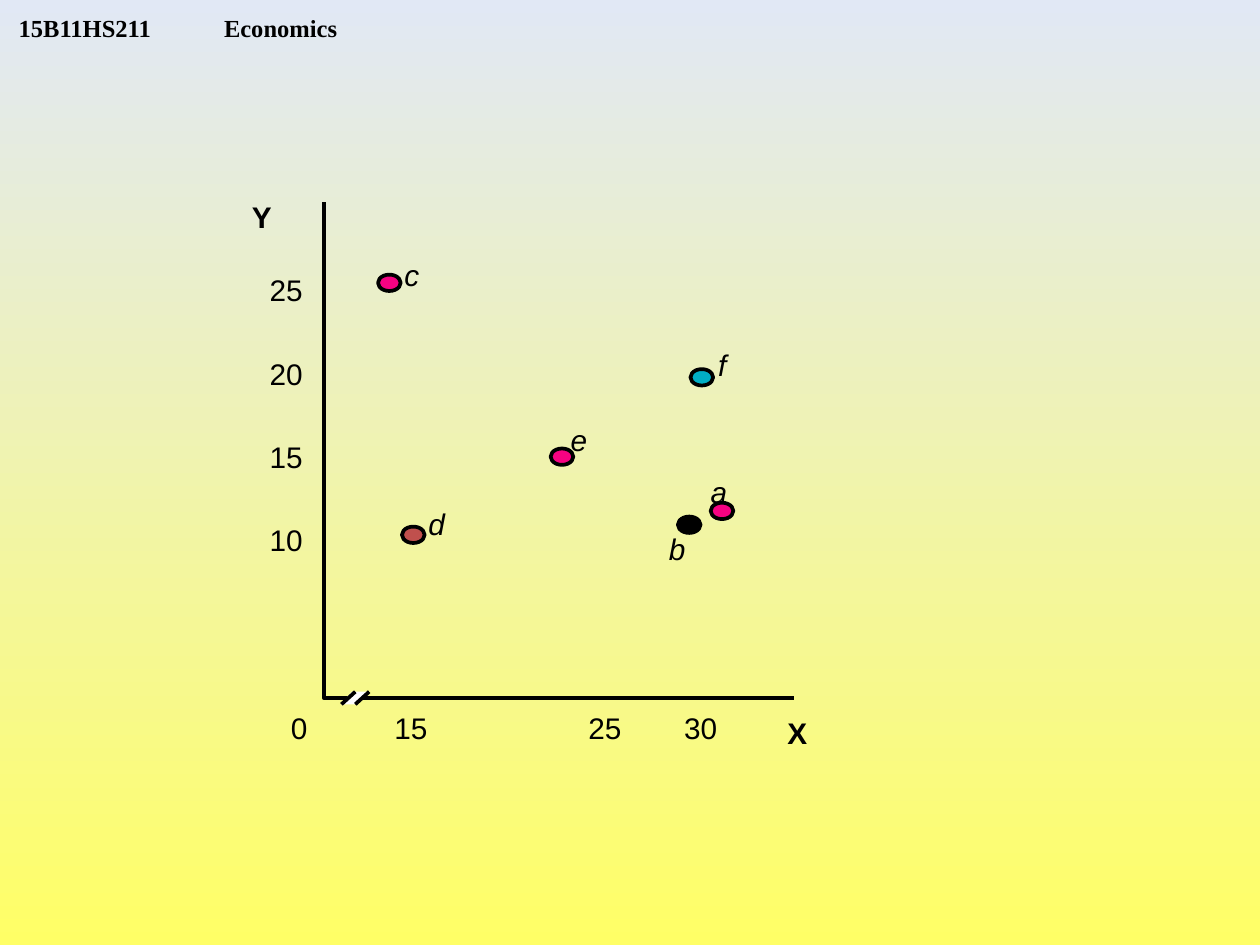
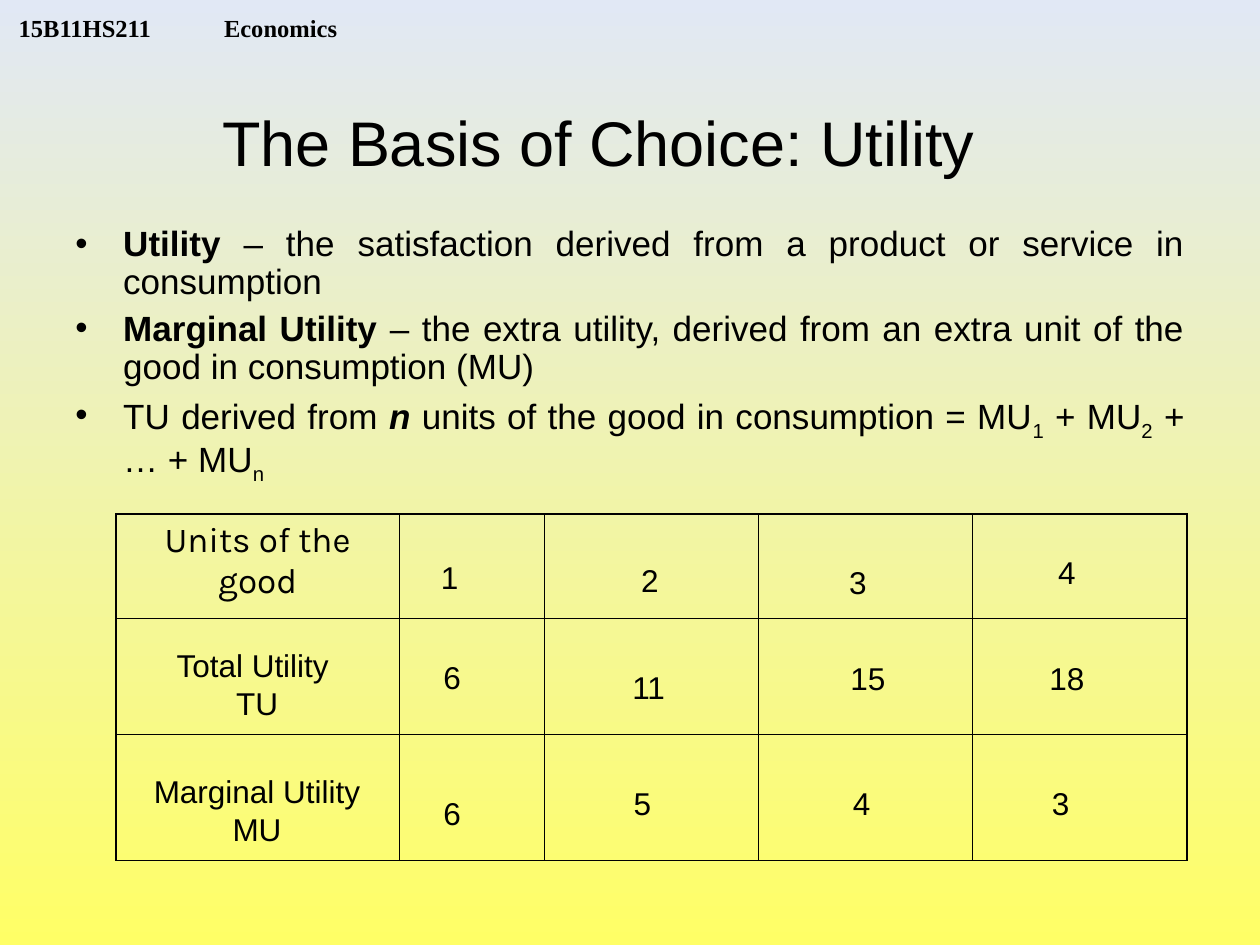
from dataclasses import dataclass

from lxml import etree
from pptx import Presentation
from pptx.dml.color import RGBColor
from pptx.enum.shapes import MSO_CONNECTOR, MSO_SHAPE
from pptx.enum.text import MSO_ANCHOR, PP_ALIGN
from pptx.oxml.ns import qn
from pptx.util import Inches, Pt

LEFT, CENTER, JUSTIFY = PP_ALIGN.LEFT, PP_ALIGN.CENTER, PP_ALIGN.JUSTIFY
TOP, MIDDLE, BOTTOM = MSO_ANCHOR.TOP, MSO_ANCHOR.MIDDLE, MSO_ANCHOR.BOTTOM
ELLIPSE, STRAIGHT = MSO_SHAPE.OVAL, MSO_CONNECTOR.STRAIGHT


@dataclass(frozen=True)
class Theme:
    ink: str = "000000"
    white: str = "FFFFFF"
    pink: str = "F60282"
    teal: str = "01AEC5"
    red: str = "C0504D"
    background_bottom: str = "FFFF66"
    background_top: str = "E1E8F5"
    font: str = "Arial"
    header_font: str = "Times New Roman"
    table_font: str = "Karla"
    title_size: float = 36
    body_size: float = 20
    value_size: float = 18
    label_size: float = 17
    header_size: float = 14
    line: float = 2.13
    outer_border: float = 1.08
    inner_border: float = 0.45


THEME = Theme()

# Point name, marker position, label position, marker colour
POINTS = [
    ("d", (3.19, 4.18), (3.40, 4.01), THEME.red),
    ("b", (5.38, 4.10), (5.31, 4.21), THEME.ink),
    ("a", (5.64, 3.99), (5.64, 3.76), THEME.pink),
    ("f", (5.48, 2.93), (5.70, 2.75), THEME.teal),
    ("c", (3.00, 2.18), (3.21, 2.04), THEME.pink),
    ("e", (4.37, 3.56), (4.53, 3.35), THEME.pink),
]
X_TICKS = [("0", 2.31), ("15", 3.13), ("25", 4.67), ("30", 5.43)]
Y_TICKS = ["25", "20", "15", "10"]
LABEL_WIDTHS = {"X": 0.16, "Y": 0.16, "c": 0.12, "f": 0.07}

# Each paragraph is a list of (text, style) runs
DEFINITIONS = [
    [("Utility", "bold"),
     (" – the satisfaction derived from a product or service in consumption", "")],
    [("Marginal Utility", "bold"),
     (" – the extra utility, derived from an extra unit of the good in consumption (MU)", "")],
    [("TU derived from ", ""), ("n", "bold italic"),
     (" units of the good in consumption = MU", ""), ("1", "sub"),
     (" + MU", ""), ("2", "sub"), (" + … + MU", ""), ("n", "sub")],
]

COLUMN_WIDTHS = [2.25, 1.15, 1.7, 1.7, 1.7]
ROW_HEIGHTS = [0.83, 0.92, 1]
ROW_LABELS = [(["Total Utility ", "TU"], 5.08, 1), (["Marginal Utility", "MU"], 6.08, 0.7)]
# Value, left, top; one line per table column
UTILITY_VALUES = [
    ("1", 3.40, 4.38), ("6", 3.42, 5.17), ("6", 3.42, 6.25),
    ("2", 4.99, 4.40), ("11", 4.92, 5.25), ("5", 4.93, 6.17),
    ("3", 6.64, 4.42), ("15", 6.65, 5.18), ("4", 6.67, 6.17),
    ("4", 8.30, 4.34), ("18", 8.23, 5.18), ("3", 8.25, 6.17),
]


def rgb(value):
    return RGBColor.from_string(value)


def set_font(paragraph, size, name=THEME.font, bold=False, italic=False):
    font = paragraph.font
    font.size, font.name = Pt(size), name
    font.bold, font.italic = bold, italic
    font.color.rgb = rgb(THEME.ink)


def add_box(slide, left, top, width, height, anchor=TOP, wrap=True):
    box = slide.shapes.add_textbox(Inches(left), Inches(top), Inches(width), Inches(height))
    frame = box.text_frame
    frame.word_wrap = wrap
    frame.vertical_anchor = anchor
    return frame


def add_text(slide, lines, left, top, width, height, size, align=LEFT, anchor=TOP):
    frame = add_box(slide, left, top, width, height, anchor)
    frame.text = "\n".join(lines)
    for paragraph in frame.paragraphs:
        paragraph.alignment = align
        set_font(paragraph, size)


def add_header(slide):
    frame = add_box(slide, 0.05, 0.01, 3.2, 0.33, BOTTOM)
    frame.margin_top = frame.margin_bottom = 0
    frame.text = "15B11HS211\tEconomics"
    paragraph = frame.paragraphs[0]
    tabs = etree.SubElement(paragraph._p.get_or_add_pPr(), qn("a:tabLst"))
    etree.SubElement(tabs, qn("a:tab"), pos=str(Inches(1.63)), algn="l")
    set_font(paragraph, THEME.header_size, THEME.header_font, bold=True)


def add_label(slide, text, left, top, bold=False, italic=False):
    width = LABEL_WIDTHS.get(text, 0.14 * len(text))
    frame = add_box(slide, left, top, width, 0.28, wrap=False)
    frame.margin_left = frame.margin_right = frame.margin_top = frame.margin_bottom = 0
    frame.text = text
    set_font(frame.paragraphs[0], THEME.label_size, bold=bold, italic=italic)


def set_line(shape):
    shape.line.color.rgb = rgb(THEME.ink)
    shape.line.width = Pt(THEME.line)


def add_outline(slide, points, closed=False):
    corners = [(Inches(x), Inches(y)) for x, y in points]
    builder = slide.shapes.build_freeform(*corners[0])
    builder.add_line_segments(corners[1:], close=closed)
    shape = builder.convert_to_shape()
    shape.shadow.inherit = False
    return shape


def add_marker(slide, left, top, color):
    marker = slide.shapes.add_shape(
        ELLIPSE, Inches(left), Inches(top), Inches(0.18), Inches(0.13))
    marker.shadow.inherit = False
    marker.fill.solid()
    marker.fill.fore_color.rgb = rgb(color)
    set_line(marker)


def add_stroke(slide, *ends):
    stroke = slide.shapes.add_connector(STRAIGHT, *[Inches(end) for end in ends])
    etree.SubElement(stroke._element.spPr, qn("a:effectLst"))
    set_line(stroke)


def add_axes(slide):
    axes = add_outline(slide, [(6.3, 5.54), (2.57, 5.54), (2.57, 1.6)])
    axes.fill.background()
    set_line(axes)

    # Break in the horizontal axis
    gap = add_outline(slide, [(2.82, 5.59), (2.93, 5.49), (2.79, 5.49), (2.71, 5.59)], True)
    gap.fill.solid()
    gap.fill.fore_color.rgb = rgb(THEME.white)
    gap.line.fill.background()
    for left in (2.71, 2.82):
        add_stroke(slide, left, 5.59, left + 0.11, 5.49)

    # Axis names and ticks
    add_label(slide, "Y", 2, 1.58, bold=True)
    add_label(slide, "X", 6.25, 5.67, bold=True)
    for text, left in X_TICKS:
        add_label(slide, text, left, 5.63)
    for index, text in enumerate(Y_TICKS):
        add_label(slide, text, 2.14, 2.16 + 0.66 * index)


def add_definitions(slide):
    frame = add_box(slide, 0.5, 1.75, 9, 4.95)
    for index, runs in enumerate(DEFINITIONS):
        paragraph = frame.add_paragraph() if index else frame.paragraphs[0]
        properties = paragraph._p.get_or_add_pPr()
        properties.set("marL", str(Inches(0.38)))
        properties.set("indent", str(Inches(-0.38)))
        etree.SubElement(properties, qn("a:buFont"), typeface=THEME.font)
        etree.SubElement(properties, qn("a:buChar"), char="•")
        paragraph.alignment = JUSTIFY
        paragraph.line_spacing = 0.9
        if index:
            paragraph.space_before = Pt(5)
        set_font(paragraph, THEME.body_size)
        for text, style in runs:
            run = paragraph.add_run()
            run.text = text
            if "bold" in style:
                run.font.bold = True
            if "italic" in style:
                run.font.italic = True
            if style == "sub":
                run._r.get_or_add_rPr().set("baseline", "-25000")


def set_borders(cell, outer_sides):
    cell.fill.background()
    properties = cell._tc.get_or_add_tcPr()
    for index, side in enumerate("LRTB"):
        width = THEME.outer_border if side in outer_sides else THEME.inner_border
        border = etree.Element(qn(f"a:ln{side}"), w=str(Pt(width)))
        fill = etree.SubElement(border, qn("a:solidFill"))
        etree.SubElement(fill, qn("a:srgbClr"), val=THEME.ink)
        properties.insert(index, border)


def add_utility_table(slide):
    rows, columns = len(ROW_HEIGHTS), len(COLUMN_WIDTHS)
    table = slide.shapes.add_table(
        rows, columns, Inches(0.92), Inches(4.08),
        Inches(sum(COLUMN_WIDTHS)), Inches(sum(ROW_HEIGHTS))).table
    table.first_row = table.horz_banding = False
    for column, width in zip(table.columns, COLUMN_WIDTHS):
        column.width = Inches(width)
    for row, height in zip(table.rows, ROW_HEIGHTS):
        row.height = Inches(height)
    for r in range(rows):
        for c in range(columns):
            edges = {"L": c == 0, "R": c == columns - 1, "T": r == 0, "B": r == rows - 1}
            set_borders(table.cell(r, c), [side for side, outer in edges.items() if outer])

    heading = table.cell(0, 0).text_frame
    heading.text = "Units of the good"
    heading.paragraphs[0].alignment = CENTER
    set_font(heading.paragraphs[0], THEME.body_size, THEME.table_font)

    # Row labels and values laid over the grid
    for lines, top, height in ROW_LABELS:
        add_text(slide, lines, 1.08, top, 1.92, height, THEME.value_size, CENTER)
    for value, left, top in UTILITY_VALUES:
        width = 0.45 if len(value) == 1 else 0.77
        add_text(slide, [value], left, top, width, 0.4, THEME.value_size)


def set_background(presentation):
    fill = presentation.slide_master.background.fill
    fill.gradient()
    fill.gradient_angle = 90
    for stop, color in zip(fill.gradient_stops, (THEME.background_bottom, THEME.background_top)):
        stop.color.rgb = rgb(color)


def add_slide(presentation):
    slide = presentation.slides.add_slide(presentation.slide_layouts[6])
    add_header(slide)
    return slide


def main():
    presentation = Presentation()
    presentation.slide_width, presentation.slide_height = Inches(10), Inches(7.5)
    set_background(presentation)

    # Points in the X-Y plane
    slide = add_slide(presentation)
    add_axes(slide)
    for name, marker, label, color in POINTS:
        add_label(slide, name, *label, italic=True)
        add_marker(slide, *marker, color)

    # Utility definitions and table
    slide = add_slide(presentation)
    add_text(slide, ["The Basis of Choice: Utility"], 0.25, 0.5, 9, 1.25,
             THEME.title_size, CENTER, MIDDLE)
    add_definitions(slide)
    add_utility_table(slide)

    presentation.save("out.pptx")


if __name__ == "__main__":
    main()
